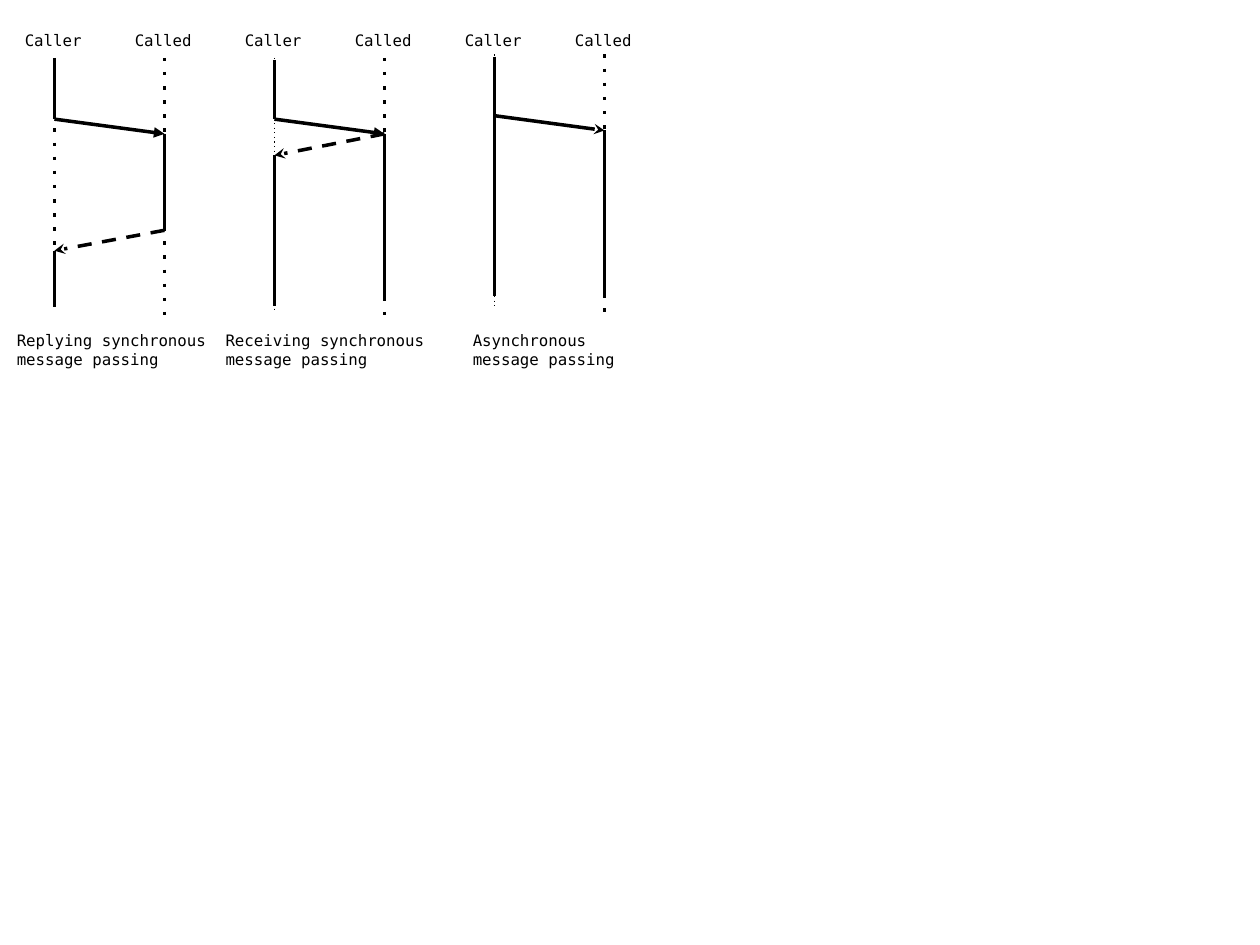
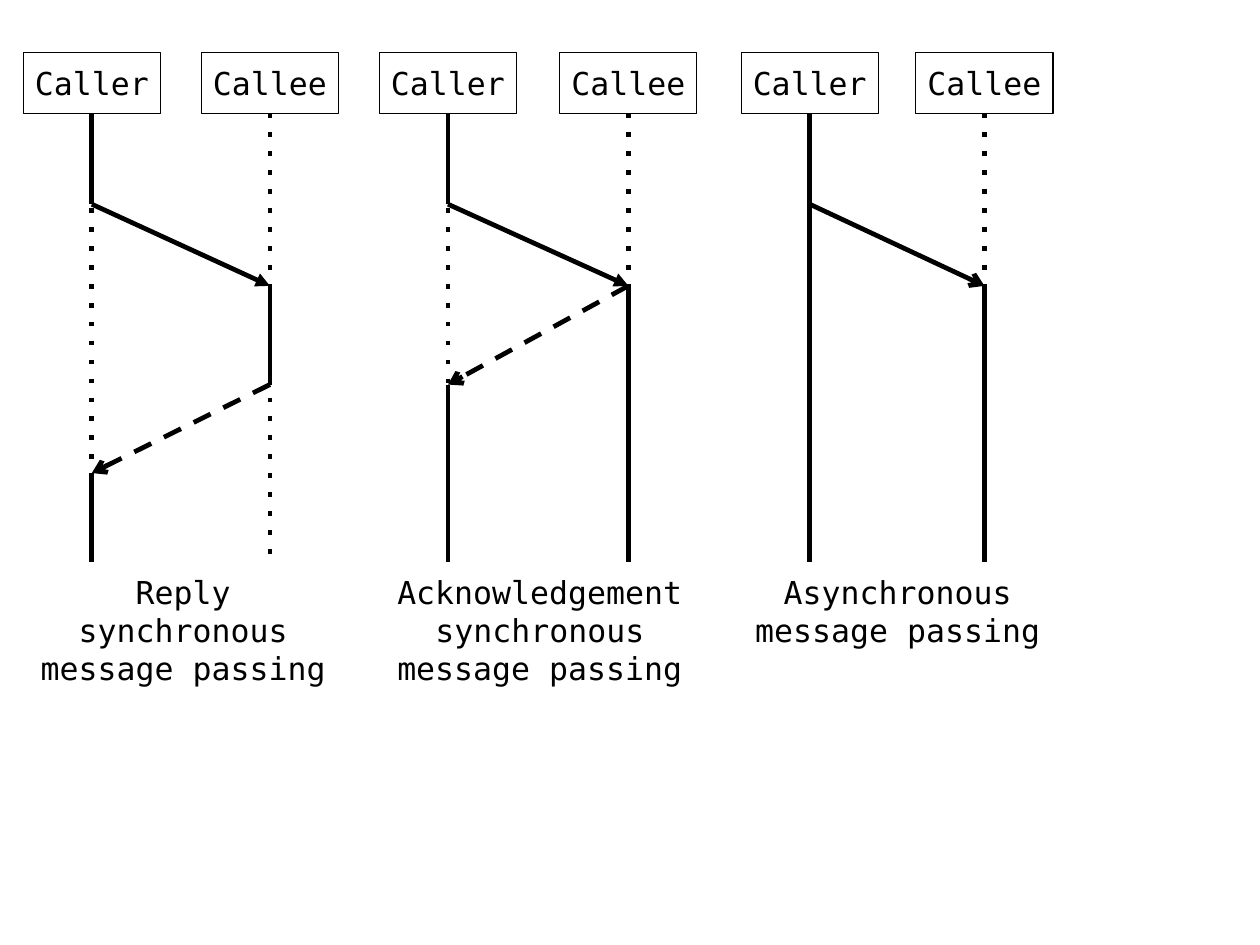
from dataclasses import dataclass
from typing import Optional

from lxml.etree import SubElement
from pptx import Presentation
from pptx.dml.color import RGBColor
from pptx.enum.shapes import MSO_CONNECTOR, MSO_SHAPE
from pptx.enum.text import MSO_ANCHOR, PP_ALIGN as Align
from pptx.oxml.ns import qn
from pptx.util import Inches, Pt


@dataclass(frozen=True)
class Theme:
    """Colours, font and line weights shared by all slides."""
    ink: RGBColor = RGBColor(0, 0, 0)
    font: str = "DejaVu Sans Mono"
    inset: float = 0.1
    hairline: float = 0.75


@dataclass(frozen=True)
class Style:
    """Look and vertical layout of the panels on one slide."""
    size: int
    weight: float
    label_top: float
    label_width: float
    label_height: float
    framed: bool
    caption_top: float
    caption_height: float
    caption_align: Align
    open_head: str
    call: tuple
    lane_lengths: tuple


@dataclass(frozen=True)
class Panel:
    """One message exchange; times are distances below the lane top."""
    names: tuple
    caption: str
    caption_offset: float
    caption_width: float
    left: float
    span: float
    lane_top: float
    active_start: float
    active_ends: tuple
    caller_lane_weight: float
    reply: Optional[tuple] = None


THEME = Theme()

SMALL = Style(10, 2.25, 0.19, 0.72, 0.32, False, 2.82, 0.73, Align.LEFT,
              "stealth", (0.54, 0.67), (2.23, 2.28))
LARGE = Style(20, 3, 0.46, 1.21, 0.54, True, 4.95, 0.88, Align.CENTER,
              "arrow", (0.8, 1.52), (3.88, 3.95))

CALLED = ("Caller", "Called")
CALLEE = ("Caller", "Callee")

SLIDES = [
    (SMALL, [
        Panel(CALLED, "Replying synchronous message passing", -0.43, 1.9,
              0.48, 0.97, 0.51, 0.02, (2.2, 2.14), 2.25, (1.52, 1.7)),
        Panel(CALLED, "Receiving synchronous message passing", -0.53, 1.98,
              2.42, 0.97, 0.51, 0.02, (2.19, 2.14), 0.75, (0.67, 0.86)),
        Panel(CALLED, "Asynchronous message passing", -0.29, 1.51,
              4.36, 0.97, 0.48, 0.02, (2.13, 2.13), 0.75),
    ]),
    (LARGE, [
        Panel(CALLEE, "Reply synchronous message passing", -0.71, 3.03,
              0.81, 1.57, 1, 0, (3.95, 3.95), 3, (2.39, 3.17)),
        Panel(CALLEE, "Acknowledgement synchronous message passing", -0.82, 3.26,
              3.95, 1.59, 1, 0, (3.95, 3.95), 3, (1.52, 2.39)),
        Panel(CALLEE, "Asynchronous message passing", -0.67, 2.89,
              7.14, 1.54, 1, 0, (3.95, 3.95), 0),
    ]),
]


def add_line(page, start, end, weight, dash="solid", head="none"):
    """Draw a straight line with an optional arrowhead at its end."""
    points = [Inches(value) for value in (*start, *end)]
    connector = page.shapes.add_connector(MSO_CONNECTOR.STRAIGHT, *points)
    connector.line.color.rgb = THEME.ink
    connector.line.width = Pt(weight)
    properties = connector.element.spPr
    outline = properties.find(qn("a:ln"))
    SubElement(outline, qn("a:prstDash")).set("val", dash)
    SubElement(outline, qn("a:tailEnd")).set("type", head)
    SubElement(properties, qn("a:effectLst"))


def add_text(page, box, text, size, align, framed=False):
    """Write text in a box, with a thin frame when asked."""
    area = [Inches(value) for value in box]
    if framed:
        shape = page.shapes.add_shape(MSO_SHAPE.RECTANGLE, *area)
        shape.shadow.inherit = False
        shape.fill.background()
        shape.line.color.rgb = THEME.ink
        shape.line.width = Pt(THEME.hairline)
    else:
        shape = page.shapes.add_textbox(*area)
    frame = shape.text_frame
    frame.word_wrap = not framed
    frame.vertical_anchor = MSO_ANCHOR.MIDDLE if framed else MSO_ANCHOR.TOP
    frame.margin_left = frame.margin_right = Inches(THEME.inset)
    frame.margin_top = frame.margin_bottom = Inches(THEME.inset)
    para = frame.paragraphs[0]
    para.text = text
    para.alignment = align
    para.font.name = THEME.font
    para.font.size = Pt(size)
    para.font.color.rgb = THEME.ink


def add_lanes(page, panel, style):
    """Draw the dotted lifelines and the solid spans of activity."""
    lanes = (panel.left, panel.left + panel.span)
    sent, received = style.call
    caller_end, callee_end = panel.active_ends
    caller_spans = [(panel.active_start, caller_end)]
    if panel.reply:
        replied, resumed = panel.reply
        caller_spans = [(panel.active_start, sent), (resumed, caller_end)]
        if replied > received:
            callee_end = replied
    activity = (caller_spans, [(received, callee_end)])
    weights = (panel.caller_lane_weight, style.weight)

    for lane, length, weight, spans in zip(lanes, style.lane_lengths, weights, activity):
        strokes = [(0, length, weight, "dot")] if weight else []
        strokes += [(start, end, style.weight, "solid") for start, end in spans]
        for start, end, width, dash in strokes:
            add_line(page, (lane, panel.lane_top + start),
                     (lane, panel.lane_top + end), width, dash)


def add_messages(page, panel, style):
    """Draw the call arrow and, when there is one, the reply arrow."""
    caller, callee = panel.left, panel.left + panel.span
    call_head = "triangle" if panel.reply else style.open_head
    messages = [(caller, callee, style.call, "solid", call_head)]
    if panel.reply:
        messages.append((callee, caller, panel.reply, "dash", style.open_head))
    for source, target, (sent, received), dash, head in messages:
        add_line(page, (source, panel.lane_top + sent),
                 (target, panel.lane_top + received), style.weight, dash, head)


def add_panel(page, panel, style):
    """Place one complete exchange with its labels and caption."""
    add_lanes(page, panel, style)
    add_messages(page, panel, style)
    label_align = Align.CENTER if style.framed else Align.LEFT
    for index, name in enumerate(panel.names):
        label_left = panel.left + index * panel.span - style.label_width / 2
        box = (label_left, style.label_top, style.label_width, style.label_height)
        add_text(page, box, name, style.size, label_align, style.framed)
    caption_box = (panel.left + panel.caption_offset, style.caption_top,
                   panel.caption_width, style.caption_height)
    add_text(page, caption_box, panel.caption, style.size, style.caption_align)


def main():
    """Build and save the deck."""
    deck = Presentation()
    deck.slide_width, deck.slide_height = Inches(11.11), Inches(8.33)
    blank = deck.slide_layouts.get_by_name("Blank")
    for style, panels in SLIDES:
        page = deck.slides.add_slide(blank)
        for panel in panels:
            add_panel(page, panel, style)
    deck.save("out.pptx")


if __name__ == "__main__":
    main()
